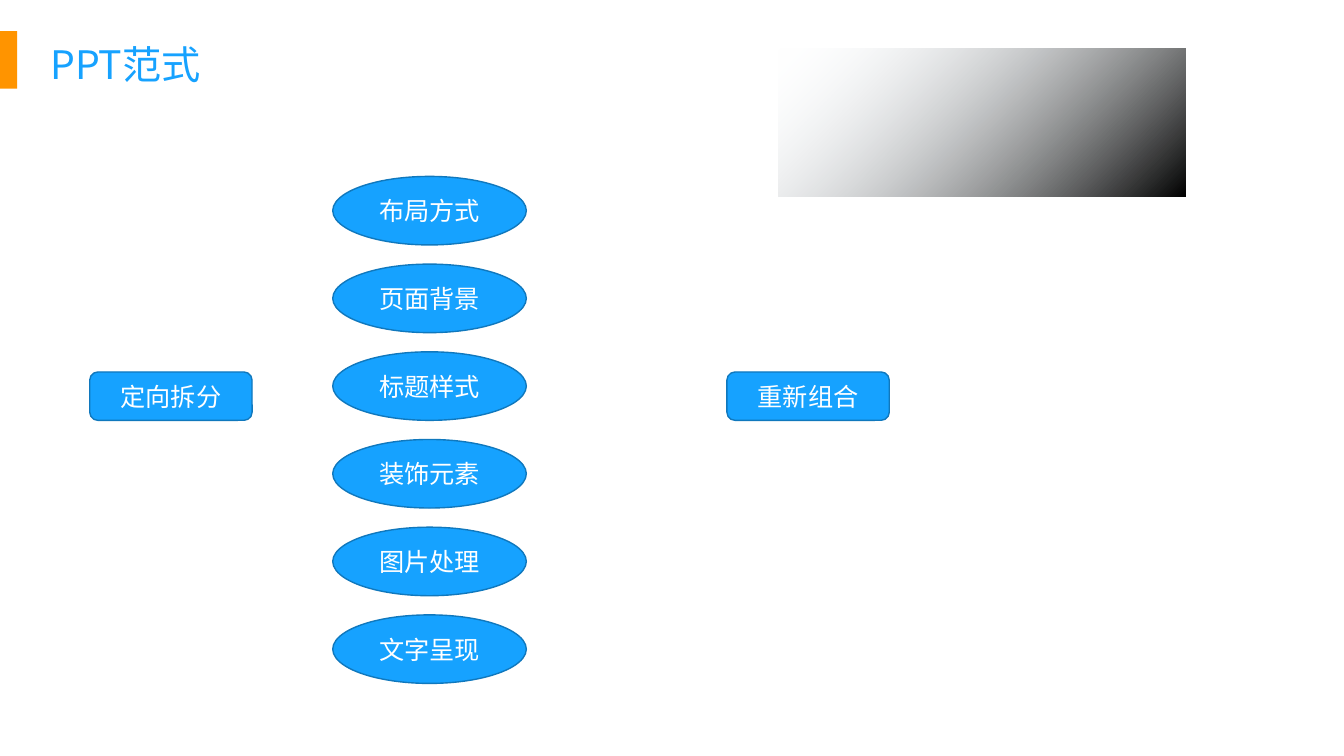
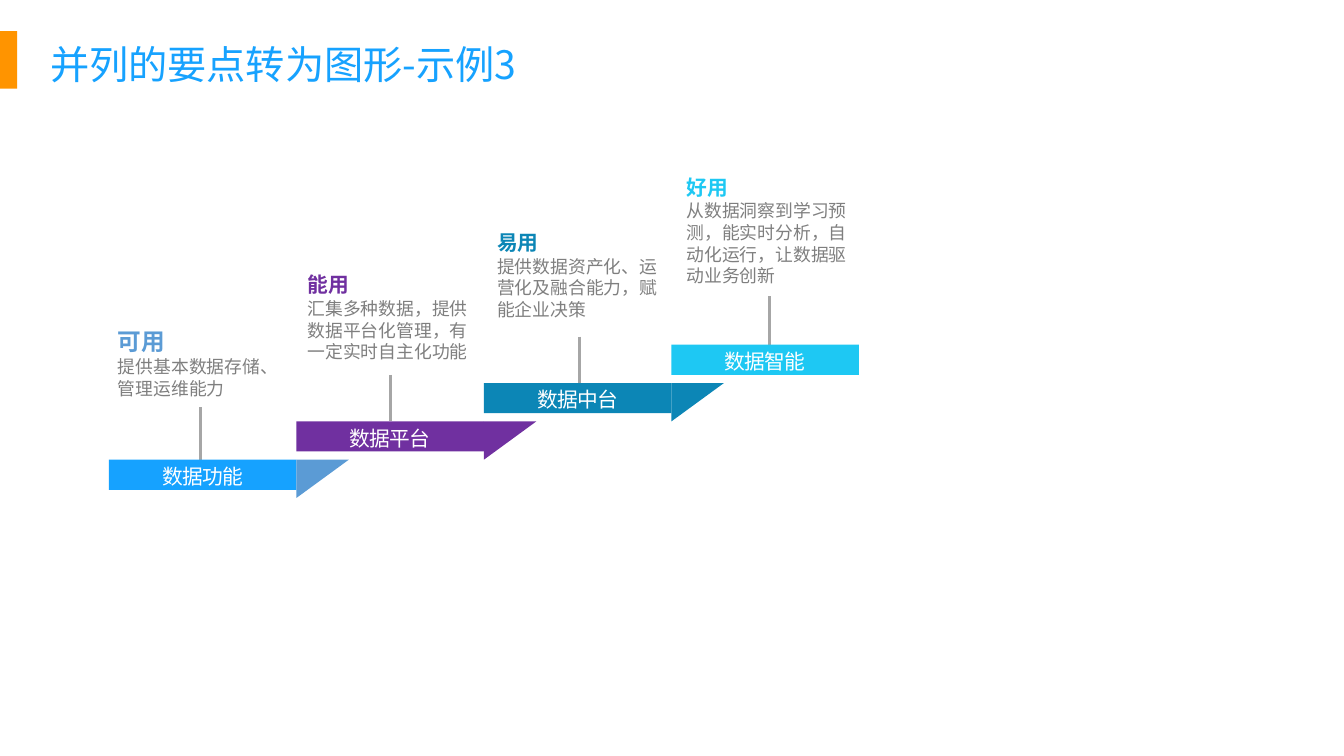
from typing import NamedTuple

from lxml import etree
from pptx import Presentation
from pptx.dml.color import RGBColor
from pptx.enum.shapes import MSO_CONNECTOR, MSO_SHAPE
from pptx.enum.text import MSO_ANCHOR, PP_ALIGN
from pptx.oxml.ns import qn
from pptx.util import Inches, Pt

RECT, ROUND, OVAL = MSO_SHAPE.RECTANGLE, MSO_SHAPE.ROUNDED_RECTANGLE, MSO_SHAPE.OVAL
LINE = MSO_CONNECTOR.STRAIGHT
LEFT, MID = PP_ALIGN.LEFT, PP_ALIGN.CENTER
TOP, CENTER = MSO_ANCHOR.TOP, MSO_ANCHOR.MIDDLE

FONT = "Noto Sans CJK SC"
BLUE, EDGE, ORANGE = "16A2FF", "1078BD", "FF9400"
STEEL, PURPLE, TEAL, CYAN = "5B9BD5", "7030A0", "0C86B6", "1EC8F3"
WHITE, BLACK, PALE = "FFFFFF", "000000", "F3FAFF"
GREY, RULE = "7F7F7F", "A6A6A6"

# Oval column on the first slide
OVALS = ("布局方式", "页面背景", "标题样式", "装饰元素", "图片处理", "文字呈现")
OVAL_X, OVAL_Y, OVAL_GAP = 3.3, 1.75, 0.87

# Stairs on the second slide
BAR_X, BAR_Y, BAR_W, BAR_H = 1.08, 4.56, 1.86, 0.3
RISE, WEDGE_W = 0.38, 0.52
NOTE_X, STEM_X, NOTE_GAP, NOTE_W = 1.17, 1.99, 1.88, 1.61


class Box(NamedTuple):
    x: float
    y: float
    w: float
    h: float


class Step(NamedTuple):
    label: str
    head: str
    body: str
    fill: str
    tint: str  # heading and wedge
    size: float
    top: float
    tall: float
    stem: float


STEPS = (
    Step("数据功能", "可用", "提供基本数据存储、管理运维能力",
         BLUE, STEEL, 16.9, 3.23, 0.72, 4.04),
    Step("数据平台", "能用", "汇集多种数据，提供数据平台化管理，有一定实时自主化功能",
         PURPLE, PURPLE, 14.8, 2.69, 0.91, 3.72),
    Step("数据中台", "易用", "提供数据资产化、运营化及融合能力，赋能企业决策",
         TEAL, TEAL, 14.8, 2.27, 0.91, 3.34),
    Step("数据智能", "好用", "从数据洞察到学习预测，能实时分析，自动化运行，让数据驱动业务创新",
         CYAN, CYAN, 14.8, 1.72, 1.13, 2.94),
)


def rgb(code: str) -> RGBColor:
    return RGBColor.from_string(code)


def frame(shape, pad=(0, 0, 0, 0), anchor=CENTER):
    """Set up wrapping, insets and anchor; return the text frame."""
    tf = shape.text_frame
    tf.word_wrap = True
    tf.margin_left, tf.margin_top, tf.margin_right, tf.margin_bottom = map(Inches, pad)
    tf.vertical_anchor = anchor
    return tf


def write(para, text: str, *, size: float, color: str, bold=False, align=LEFT,
          lead=None, before=0.0, track=0.0) -> None:
    """Add a run to a paragraph; lead, before and track are in points."""
    para.alignment = align
    para.space_before = Pt(before)
    if lead:
        para.line_spacing = Pt(lead)
    run = para.add_run()
    run.text = text
    font = run.font
    font.name, font.size, font.bold = FONT, Pt(size), bold
    font.color.rgb = rgb(color)
    props = run._r.get_or_add_rPr()
    etree.SubElement(props, qn("a:ea")).set("typeface", FONT)
    if track:
        props.set("spc", str(round(track * 100)))


def shape(slide, kind, box: Box, fill: str, edge=None):
    item = slide.shapes.add_shape(kind, *map(Inches, box))
    paint(item, fill, edge)
    return item


def paint(item, fill: str, edge=None) -> None:
    item.shadow.inherit = False
    item.fill.solid()
    item.fill.fore_color.rgb = rgb(fill)
    if edge:
        item.line.color.rgb = rgb(edge)
        item.line.width = Pt(1)
    else:
        item.line.fill.background()


def node(slide, kind, box: Box, text: str) -> None:
    item = shape(slide, kind, box, BLUE, EDGE)
    write(frame(item).paragraphs[0], text, size=18, color=WHITE, align=MID)


def fade(slide, box: Box) -> None:
    """Draw a panel running from clear to black along its diagonal."""
    item = shape(slide, RECT, box, BLACK)
    item.fill.gradient()
    item.fill.gradient_angle = 315
    for stop, code in zip(item.fill.gradient_stops, (PALE, BLACK)):
        stop.color.rgb = rgb(code)
    first = next(item._element.spPr.iter(qn("a:srgbClr")))
    etree.SubElement(first, qn("a:alpha")).set("val", "0")


def stem(slide, x: float, top: float, end: float) -> None:
    line = slide.shapes.add_connector(LINE, *map(Inches, (x, top, x, end)))
    line.line.color.rgb = rgb(RULE)
    line.line.width = Pt(2)
    etree.SubElement(line._element.spPr, qn("a:effectLst"))


def wedge(slide, x: float, y: float, fill: str) -> None:
    pen = slide.shapes.build_freeform(Inches(x + WEDGE_W), Inches(y))
    pen.add_line_segments([(Inches(x), Inches(y)), (Inches(x), Inches(y + RISE))])
    paint(pen.convert_to_shape(), fill)


def note(slide, box: Box, step: Step) -> None:
    tf = frame(slide.shapes.add_textbox(*map(Inches, box)), (0, 0.01, 0, 0), TOP)
    write(tf.paragraphs[0], step.head, size=step.size, color=step.tint, bold=True,
          lead=round(step.size * 1.2, 1), before=1.1)
    write(tf.add_paragraph(), step.body, size=12.7, color=GREY, lead=15.4, before=0.5)


def page(deck, title: str):
    """Add a blank slide with the orange tab and the title."""
    slide = deck.slides.add_slide(deck.slide_layouts[6])
    shape(slide, RECT, Box(0, 0.31, 0.17, 0.57), ORANGE)
    item = slide.shapes.add_textbox(*map(Inches, Box(0.4, 0.35, 5.79, 0.57)))
    write(frame(item, (0.1, 0, 0.1, 0)).paragraphs[0], title, size=28, color=BLUE)
    return slide


def pattern(deck) -> None:
    slide = page(deck, "PPT范式")
    for x, text in ((0.89, "定向拆分"), (7.21, "重新组合")):
        node(slide, ROUND, Box(x, 3.69, 1.61, 0.48), text)
    for row, text in enumerate(OVALS):
        node(slide, OVAL, Box(OVAL_X, OVAL_Y + row * OVAL_GAP, 1.92, 0.68), text)
    fade(slide, Box(7.72, 0.48, 4.04, 1.47))


def stairs(deck) -> None:
    slide = page(deck, "并列的要点转为图形-示例3")
    for col, step in enumerate(STEPS):
        x, y, shift = BAR_X + col * BAR_W, BAR_Y - col * RISE, col * NOTE_GAP
        stem(slide, STEM_X + shift, step.stem, y)
        bar = shape(slide, RECT, Box(x, y, BAR_W, BAR_H), step.fill)
        write(frame(bar, (0, 0.03, 0, 0)).paragraphs[0], step.label,
              size=14.8, color=WHITE, align=MID, track=-0.5)
        if step is not STEPS[-1]:
            wedge(slide, x + BAR_W, y, step.tint)
        note(slide, Box(NOTE_X + shift, step.top, NOTE_W, step.tall), step)


def main() -> None:
    deck = Presentation()
    deck.slide_width, deck.slide_height = Inches(13.33), Inches(7.5)
    pattern(deck)
    stairs(deck)
    deck.save("out.pptx")


if __name__ == "__main__":
    main()
